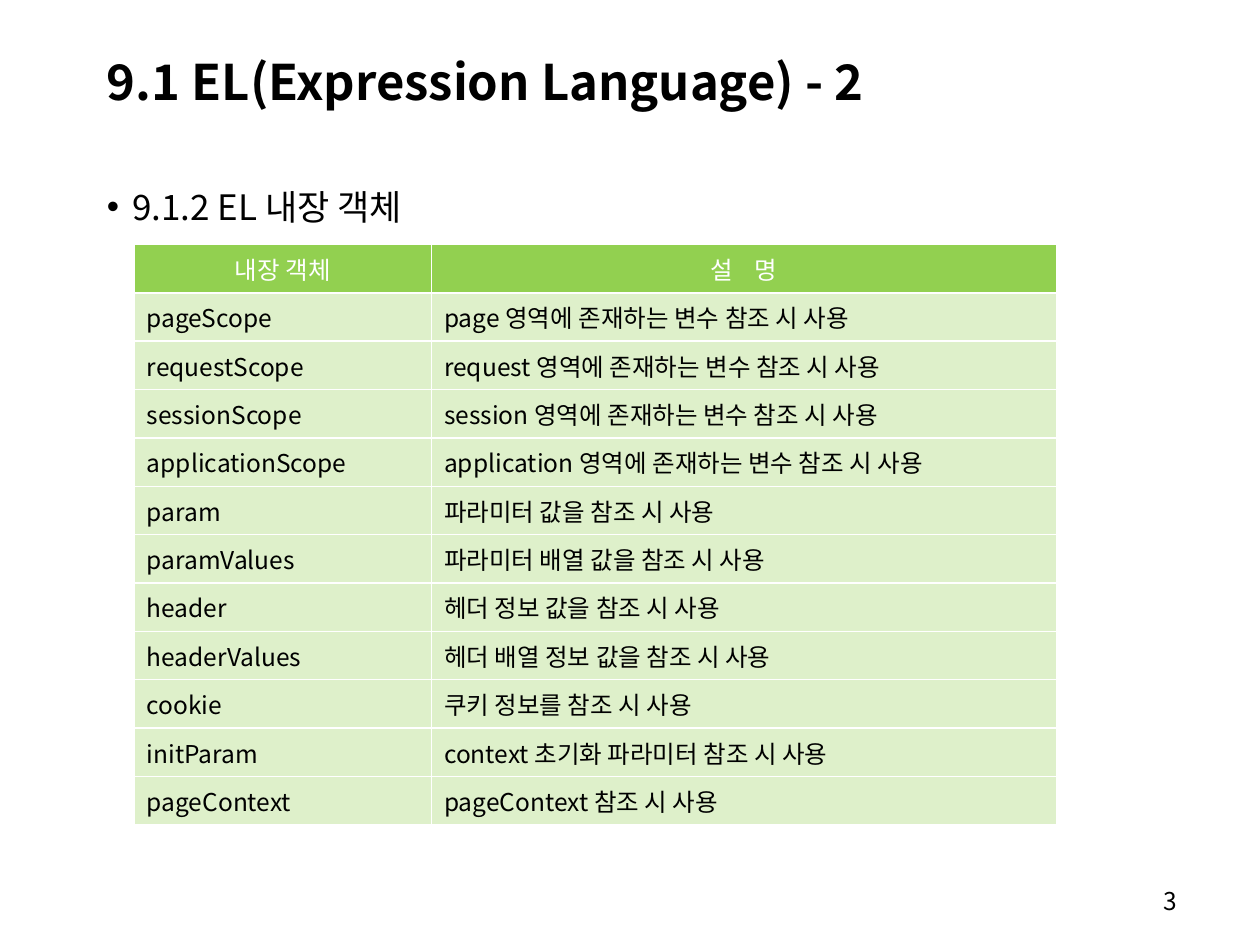
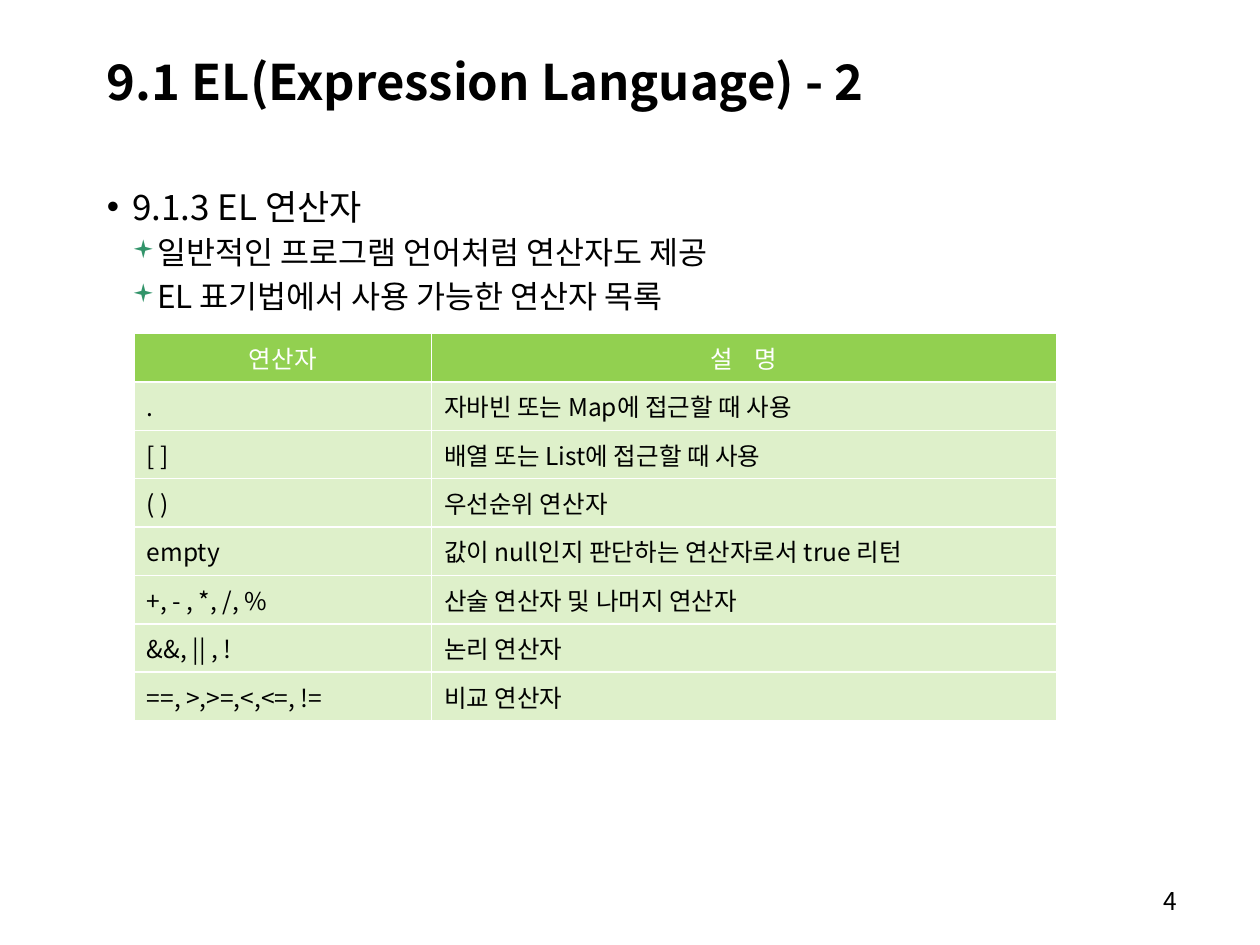
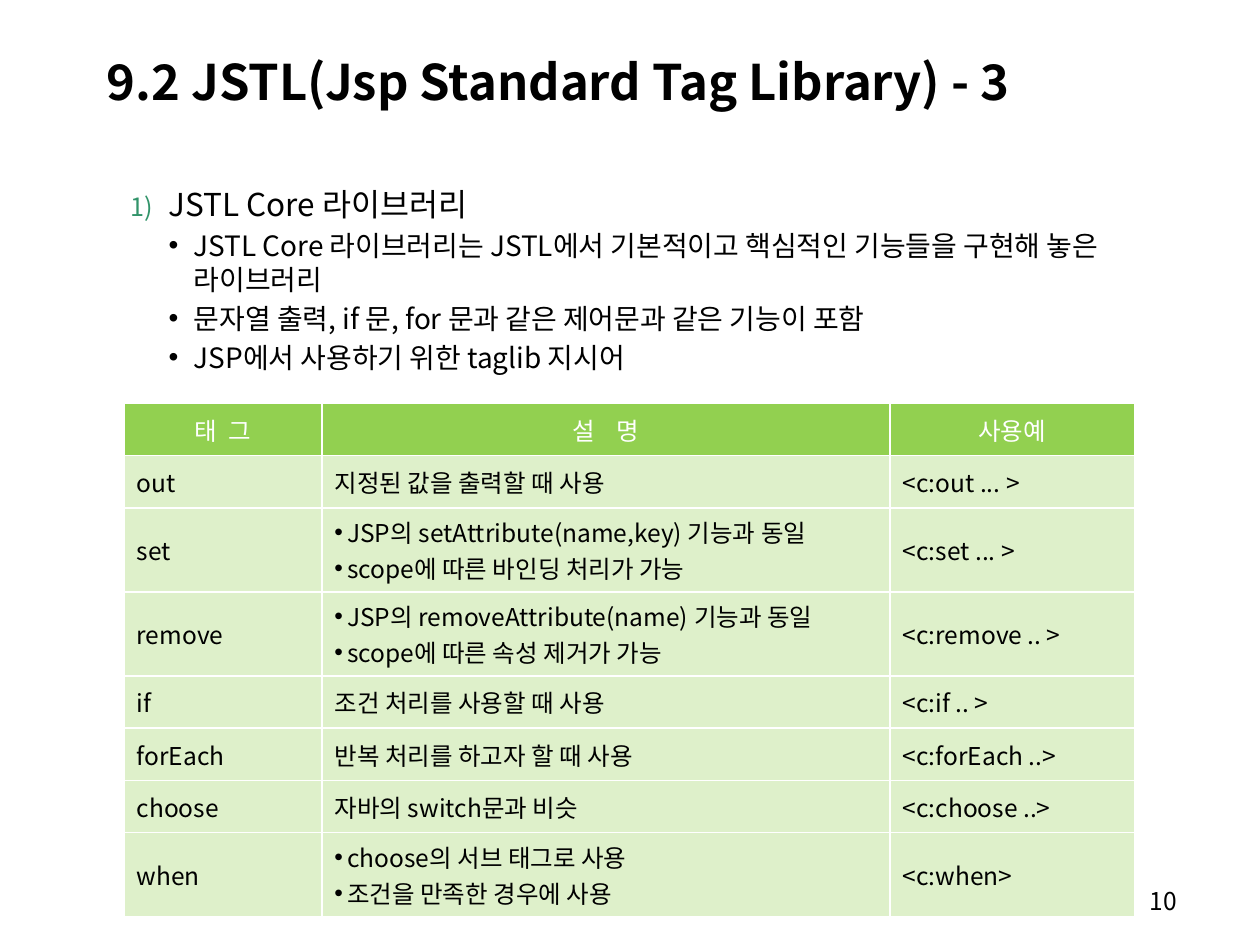
import pptx
import pptx.util
import pptx.dml.color
import pptx.enum.text
import pptx.oxml
import pptx.oxml.ns

Pt = pptx.util.Pt
Inches = pptx.util.Inches
ALIGN = pptx.enum.text.PP_ALIGN
MIDDLE = pptx.enum.text.MSO_ANCHOR.MIDDLE

COLORS = {"ink": "000000", "paper": "FFFFFF", "green": "92D050", "marker": "32946A"}
FONT = "Noto Sans CJK KR"
NS = pptx.oxml.ns.nsdecls("a")

BULLETS = {
    "dot": ("Arial", '<a:buChar {ns} char="•"/>'),
    "square": ("Wingdings", '<a:buChar {ns} char="▪"/>'),
    "number": (FONT, '<a:buAutoNum {ns} type="arabicParenR"/>'),
}
COLORED_BULLETS = ("square", "number")
OUTLINE = {
    "section": (0, 20, 0.2, 0.2, "dot"),
    "point": (1, 18, 0.4, 0.2, "square"),
    "numbered": (1, 18, 0.49, 0.3, "number"),
    "detail": (2, 16, 0.69, 0.2, "dot"),
}
TWO_LINE_ROW = 8.89

SLIDES = [
    {
        "number": "3",
        "title": "9.1 EL(Expression Language) - 2",
        "outline": [("section", "9.1.2 EL 내장 객체")],
        "place": (10.65, 25.87),
        "columns": (23.6, 49.6),
        "row": 5.12,
        "table": [
            ("내장 객체", "설    명"),
            ("pageScope", "page 영역에 존재하는 변수 참조 시 사용"),
            ("requestScope", "request 영역에 존재하는 변수 참조 시 사용"),
            ("sessionScope", "session 영역에 존재하는 변수 참조 시 사용"),
            ("applicationScope", "application 영역에 존재하는 변수 참조 시 사용"),
            ("param", "파라미터 값을 참조 시 사용"),
            ("paramValues", "파라미터 배열 값을 참조 시 사용"),
            ("header", "헤더 정보 값을 참조 시 사용"),
            ("headerValues", "헤더 배열 정보 값을 참조 시 사용"),
            ("cookie", "쿠키 정보를 참조 시 사용"),
            ("initParam", "context 초기화 파라미터 참조 시 사용"),
            ("pageContext", "pageContext 참조 시 사용"),
        ],
    },
    {
        "number": "4",
        "title": "9.1 EL(Expression Language) - 2",
        "outline": [
            ("section", "9.1.3 EL 연산자"),
            ("point", "일반적인 프로그램 언어처럼 연산자도 제공"),
            ("point", "EL 표기법에서 사용 가능한 연산자 목록"),
        ],
        "place": (10.65, 35.3),
        "columns": (23.6, 49.6),
        "row": 5.12,
        "table": [
            ("연산자", "설    명"),
            (".", "자바빈 또는 Map에 접근할 때 사용"),
            ("[ ]", "배열 또는 List에 접근할 때 사용"),
            ("( )", "우선순위 연산자"),
            ("empty", "값이 null인지 판단하는 연산자로서 true 리턴"),
            ("+, - , *, /, %", "산술 연산자 및 나머지 연산자"),
            ("&&, || , !", "논리 연산자"),
            ("==, >,>=,<,<=, !=", "비교 연산자"),
        ],
    },
    {
        "number": "10",
        "title": "9.2 JSTL(Jsp Standard Tag Library) - 3",
        "outline": [
            ("numbered", "JSTL Core 라이브러리"),
            ("detail", "JSTL Core 라이브러리는 JSTL에서 기본적이고 핵심적인 기능들을 구현해 놓은 라이브러리"),
            ("detail", "문자열 출력, if 문, for 문과 같은 제어문과 같은 기능이 포함"),
            ("detail", "JSP에서 사용하기 위한 taglib 지시어"),
        ],
        "place": (9.85, 42.7),
        "columns": (15.7, 45.1, 19.4),
        "row": 5.53,
        "table": [
            ("태  그", "설    명", "사용예"),
            ("out", "지정된 값을 출력할 때 사용", "<c:out ... >"),
            ("set", ("JSP의 setAttribute(name,key) 기능과 동일", "scope에 따른 바인딩 처리가 가능"), "<c:set ... >"),
            ("remove", ("JSP의 removeAttribute(name) 기능과 동일", "scope에 따른 속성 제거가 가능"), "<c:remove .. >"),
            ("if", "조건 처리를 사용할 때 사용", "<c:if .. >"),
            ("forEach", "반복 처리를 하고자 할 때 사용", "<c:forEach ..>"),
            ("choose", "자바의 switch문과 비슷", "<c:choose ..>"),
            ("when", ("choose의 서브 태그로 사용", "조건을 만족한 경우에 사용"), "<c:when>"),
        ],
    },
]

deck = pptx.Presentation()
deck.slide_width = Inches(10)
deck.slide_height = Inches(7.5)
COLUMN = deck.slide_width / 100
ROW = deck.slide_height / 100


def add_frame(slide, left, top, width, height):
    frame = slide.shapes.add_textbox(
        int(left * COLUMN), int(top * ROW), int(width * COLUMN), int(height * ROW)
    ).text_frame
    frame.word_wrap = True
    return frame


def write(frame, index, text, size, color="ink", bold=False, align=ALIGN.LEFT, indent=0, hang=0, bullet=None):
    paragraph = frame.add_paragraph() if index else frame.paragraphs[0]
    paragraph.alignment = align
    run = paragraph.add_run()
    run.text = text
    run.font.size = Pt(size)
    run.font.bold = bold
    run.font.name = FONT
    run.font.color.rgb = pptx.dml.color.RGBColor.from_string(COLORS[color])
    run.font._element.append(pptx.oxml.parse_xml(f'<a:ea {NS} typeface="{FONT}"/>'))
    properties = paragraph._p.get_or_add_pPr()
    properties.set("marL", str(Inches(indent)))
    properties.set("indent", str(-Inches(hang)))
    if bullet in COLORED_BULLETS:
        properties.append(pptx.oxml.parse_xml(
            f'<a:buClr {NS}><a:srgbClr val="{COLORS["marker"]}"/></a:buClr>'))
        properties.append(pptx.oxml.parse_xml(f'<a:buSzPct {NS} val="80000"/>'))
    if bullet:
        typeface, marker = BULLETS[bullet]
        properties.append(pptx.oxml.parse_xml(f'<a:buFont {NS} typeface="{typeface}"/>'))
        properties.append(pptx.oxml.parse_xml(marker.format(ns=NS)))
    return paragraph


for content in SLIDES:
    slide = deck.slides.add_slide(deck.slide_layouts[6])

    title = add_frame(slide, 7.5, 1.73, 92.5, 13.6)
    title.vertical_anchor = MIDDLE
    write(title, 0, content["title"], 28, bold=True)

    outline = add_frame(slide, 7.5, 18.93, 87.3, 71.07)
    for index, (kind, text) in enumerate(content["outline"]):
        level, size, indent, hang, bullet = OUTLINE[kind]
        entry = write(outline, index, text, size, indent=indent, hang=hang, bullet=bullet)
        entry.level = level
        entry.line_spacing = 1.0
        entry.space_before = Pt(size * 0.2)

    page_number = add_frame(slide, 73.6, 93.07, 20.8, 4.67)
    write(page_number, 0, content["number"], 14, align=ALIGN.RIGHT)

    left, top = content["place"]
    entries = content["table"]
    widths = content["columns"]
    table = slide.shapes.add_table(
        len(entries), len(widths), int(left * COLUMN), int(top * ROW),
        int(sum(widths) * COLUMN), int(len(entries) * content["row"] * ROW),
    ).table
    table.horz_banding = False
    for column, width in zip(table.columns, widths):
        column.width = int(width * COLUMN)

    for row_index, row in enumerate(entries):
        heading = row_index == 0
        two_lines = any(isinstance(value, tuple) for value in row)
        table.rows[row_index].height = int((TWO_LINE_ROW if two_lines else content["row"]) * ROW)
        for column_index, value in enumerate(row):
            cell = table.cell(row_index, column_index)
            cell.vertical_anchor = MIDDLE
            lines = (value,) if isinstance(value, str) else value
            for index, line in enumerate(lines):
                hang = 0.1 if column_index and not heading else 0
                write(cell.text_frame, index, line, 14,
                      color="paper" if heading else "ink",
                      align=ALIGN.CENTER if heading else ALIGN.LEFT,
                      indent=hang, hang=hang,
                      bullet="dot" if len(lines) > 1 else None)
            borders = cell._tc.get_or_add_tcPr()
            for side in ("lnL", "lnR", "lnT", "lnB"):
                borders.append(pptx.oxml.parse_xml(
                    f'<a:{side} {NS} w="{Pt(1)}"><a:solidFill>'
                    f'<a:srgbClr val="{COLORS["paper"]}"/></a:solidFill></a:{side}>'))
            cell.fill.solid()
            cell.fill.fore_color.rgb = pptx.dml.color.RGBColor.from_string(COLORS["green"])
            if not heading:
                tint = borders.find(pptx.oxml.ns.qn("a:solidFill"))[0]
                tint.append(pptx.oxml.parse_xml(f'<a:alpha {NS} val="30000"/>'))

deck.save("out.pptx")
